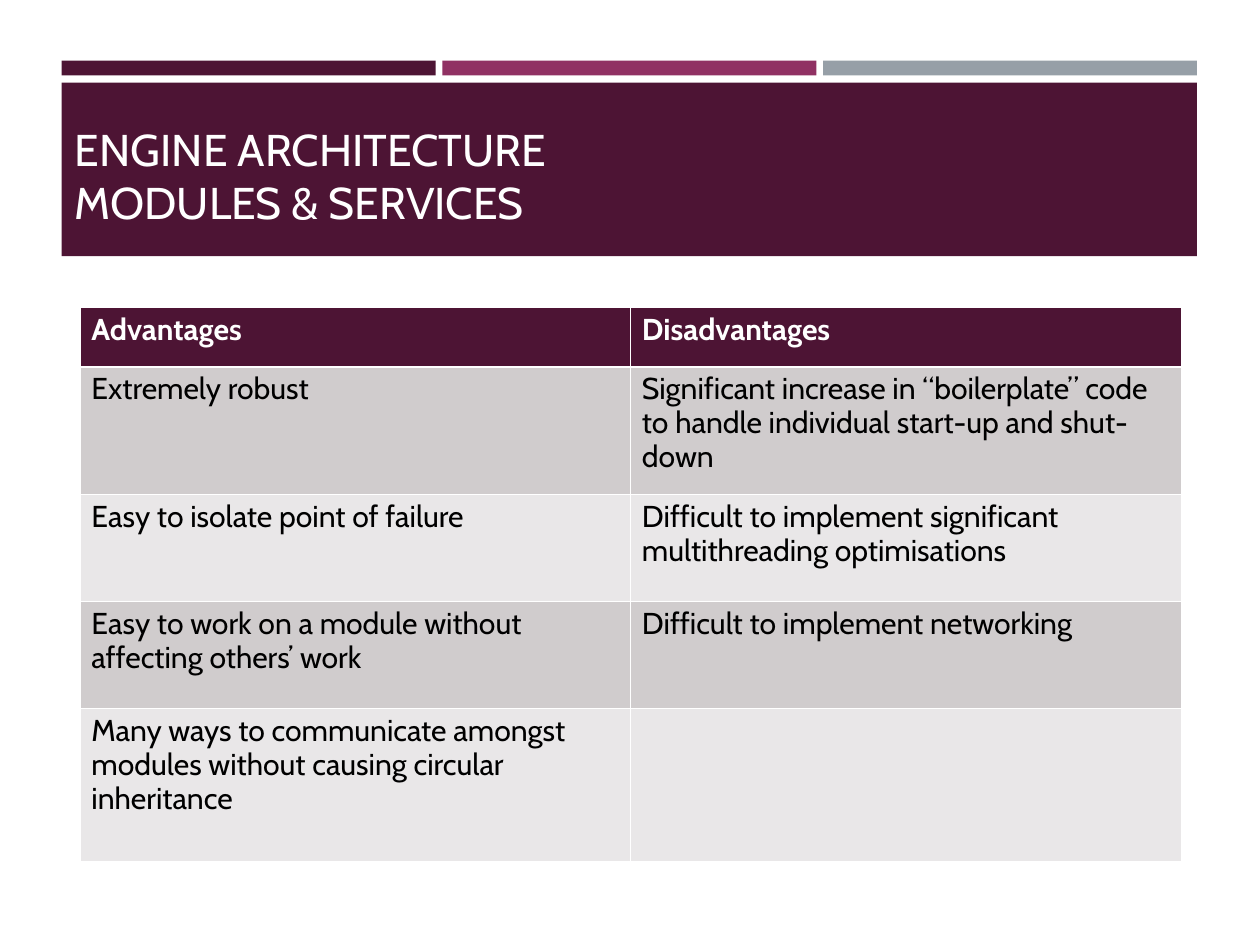
from pptx import Presentation
from pptx.dml.color import RGBColor
from pptx.enum.shapes import MSO_SHAPE
from pptx.enum.text import MSO_ANCHOR, PP_ALIGN
from pptx.oxml import parse_xml
from pptx.oxml.ns import nsdecls
from pptx.util import Cm, Pt

THEME = {
    "plum": RGBColor.from_string("4D1434"),
    "berry": RGBColor.from_string("903163"),
    "slate": RGBColor.from_string("969FA7"),
    "dark_band": RGBColor.from_string("D0CCCD"),
    "light_band": RGBColor.from_string("E9E7E8"),
    "white": RGBColor.from_string("FFFFFF"),
    "black": RGBColor.from_string("000000"),
    "font": "Cabin",
    "title_size": Pt(28),
    "table_size": Pt(19),
    "thin_rule": Pt(0.45),
    "header_rule": Pt(1.47),
}

presentation = Presentation()
presentation.slide_width = Cm(28)
presentation.slide_height = Cm(21)
slide = presentation.slides.add_slide(presentation.slide_layouts[6])


def across(percent):
    return round(presentation.slide_width * percent / 100)


def down(percent):
    return round(presentation.slide_height * percent / 100)


left, width, gap = 4.9, 90.1, 0.54
bar_width = (width - 2 * gap) / 3
blocks = [
    (left + column * (bar_width + gap), 6.42, bar_width, 1.57, color)
    for column, color in enumerate(["plum", "berry", "slate"])
]
blocks.append((left, 8.75, width, 18.35, "plum"))

for block_left, block_top, block_width, block_height, color in blocks:
    shape = slide.shapes.add_shape(
        MSO_SHAPE.RECTANGLE,
        across(block_left), down(block_top), across(block_width), down(block_height),
    )
    shape.shadow.inherit = False
    shape.fill.solid()
    shape.fill.fore_color.rgb = THEME[color]
    shape.line.fill.background()

title = slide.shapes.add_textbox(across(5.04), down(8.1), across(90), down(16.69))
title_frame = title.text_frame
frame_format = {
    "word_wrap": True,
    "vertical_anchor": MSO_ANCHOR.BOTTOM,
    "margin_left": across(0.9),
    "margin_right": across(0.9),
    "margin_top": down(0.5),
    "margin_bottom": down(0.6),
}
for name, value in frame_format.items():
    setattr(title_frame, name, value)
title_frame.text = "ENGINE ARCHITECTURE\vMODULES & SERVICES"
title_format = {"name": THEME["font"], "size": THEME["title_size"], "bold": False}
for run in title_frame.paragraphs[0].runs:
    for name, value in title_format.items():
        setattr(run.font, name, value)
    run.font.color.rgb = THEME["white"]

rows = [
    ("Advantages", "Disadvantages"),
    (
        "Extremely robust",
        "Significant increase in “boilerplate” code to handle individual start-up and shut-down",
    ),
    (
        "Easy to isolate point of failure",
        "Difficult to implement significant multithreading optimisations",
    ),
    (
        "Easy to work on a module without affecting others’ work",
        "Difficult to implement networking",
    ),
    ("Many ways to communicate amongst modules without causing circular inheritance", ""),
]
row_heights = [6.3, 13.55, 11.3, 11.3, 16.2]
table = slide.shapes.add_table(
    len(rows), 2, across(6.36), down(32.5), across(87.38), down(sum(row_heights))
).table

for row_index, texts in enumerate(rows):
    table.rows[row_index].height = down(row_heights[row_index])
    header = row_index == 0
    band = "plum" if header else "dark_band" if row_index % 2 else "light_band"
    rules = {
        "L": THEME["thin_rule"],
        "R": THEME["thin_rule"],
        "T": THEME["header_rule" if row_index == 1 else "thin_rule"],
        "B": THEME["header_rule" if header else "thin_rule"],
    }
    for column_index, text in enumerate(texts):
        cell = table.cell(row_index, column_index)
        properties = cell._tc.get_or_add_tcPr()
        for side, rule in rules.items():
            properties.append(parse_xml(
                f'<a:ln{side} {nsdecls("a")} w="{rule}"><a:solidFill>'
                f'<a:srgbClr val="{THEME["white"]}"/></a:solidFill></a:ln{side}>'
            ))
        cell.fill.solid()
        cell.fill.fore_color.rgb = THEME[band]
        cell_format = {
            "margin_left": across(0.9),
            "margin_right": across(0.9),
            "margin_top": down(0.6),
            "margin_bottom": down(0.6),
            "vertical_anchor": MSO_ANCHOR.TOP,
        }
        for name, value in cell_format.items():
            setattr(cell, name, value)
        if not text:
            continue
        paragraph = cell.text_frame.paragraphs[0]
        paragraph.alignment = PP_ALIGN.LEFT
        paragraph.line_spacing = 0.93
        run = paragraph.add_run()
        run.text = text
        text_format = {"name": THEME["font"], "size": THEME["table_size"], "bold": header}
        for name, value in text_format.items():
            setattr(run.font, name, value)
        run.font.color.rgb = THEME["white" if header else "black"]

presentation.save("out.pptx")
